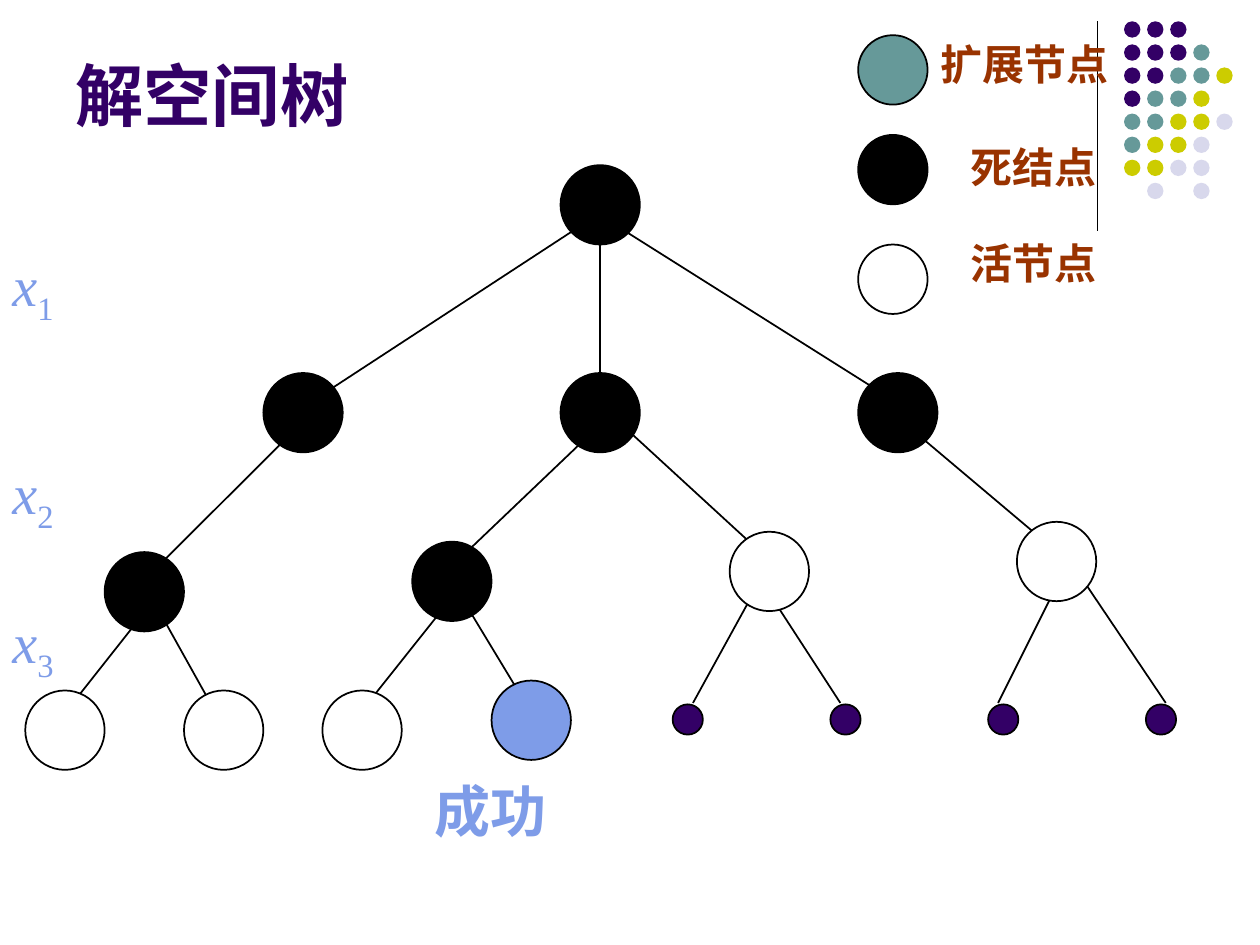
import pptx
import pptx.util
import pptx.dml.color
import pptx.enum.shapes
import pptx.enum.text
import pptx.oxml.ns
import lxml.etree

Cm = pptx.util.Cm
Pt = pptx.util.Pt
RGB = pptx.dml.color.RGBColor.from_string
ALIGN = pptx.enum.text.PP_ALIGN
ANCHOR = pptx.enum.text.MSO_ANCHOR

COLORS = {
    "purple": "330066", "teal": "669999", "olive": "CCCC00", "lilac": "D8D8EC",
    "black": "000000", "white": "FFFFFF", "blue": "7E9CE8", "brown": "993300",
}

deck = pptx.Presentation()
deck.slide_width = Cm(25.4)
deck.slide_height = Cm(19.05)
slide = deck.slides.add_slide(deck.slide_layouts[6])


def add_circle(left, top, size, color, outlined=True):
    circle = slide.shapes.add_shape(
        pptx.enum.shapes.MSO_SHAPE.OVAL, Cm(left), Cm(top), Cm(size), Cm(size))
    circle.shadow.inherit = False
    circle.fill.solid()
    circle.fill.fore_color.rgb = RGB(COLORS[color])
    if outlined:
        circle.line.color.rgb = RGB(COLORS["black"])
        circle.line.width = Pt(1)
    else:
        circle.line.fill.background()


def add_text(box, runs, size, color, font="Times New Roman", bold=True,
             align=ALIGN.LEFT, anchor=ANCHOR.TOP, wrap=True):
    frame = slide.shapes.add_textbox(*[Cm(length) for length in box]).text_frame
    frame.word_wrap = wrap
    frame.vertical_anchor = anchor
    paragraph = frame.paragraphs[0]
    paragraph.alignment = align
    for text, italic, baseline in runs:
        run = paragraph.add_run()
        run.text = text
        run.font.size = Pt(size)
        run.font.name = font
        run.font.bold = bold
        run.font.italic = italic
        run.font.color.rgb = RGB(COLORS[color])
        if baseline:
            run.font._element.set("baseline", str(baseline))


dot_colors = {"p": "purple", "t": "teal", "o": "olive", "l": "lilac"}
dot_rows = ["ppp", "pppt", "pptto", "ptto", "ttool", "tool", "ooll", " l l"]
for row, letters in enumerate(dot_rows):
    for column, letter in enumerate(letters):
        if letter in dot_colors:
            add_circle(22.66 + 0.465 * column, 0.43 + 0.465 * row, 0.33,
                       dot_colors[letter], outlined=False)

add_text((1.27, 0.33, 20.96, 3.12), [("解空间树", False, 0)], 39, "purple",
         font="Arial", anchor=ANCHOR.MIDDLE)

divider = (22.12, 0.43, 22.12, 4.65, 0.75)
branches = [
    (11.86, 4.45, 6.35, 8.05, 1),
    (12.09, 4.52, 12.09, 8.13, 1.25),
    (12.27, 4.45, 17.98, 8.05, 1),
    (5.92, 8.69, 2.97, 11.63, 1),
    (11.91, 8.74, 9.09, 11.43, 1),
    (12.5, 8.53, 15.44, 11.23, 1),
    (18.42, 8.69, 21.16, 11, 1),
    (2.97, 12.27, 1.47, 14.17, 1),
    (3.18, 12.27, 4.24, 14.17, 1),
    (9.09, 12.07, 7.42, 14.17, 1),
    (9.32, 12.07, 10.59, 14.17, 1),
    (15.24, 11.86, 13.97, 14.17, 1),
    (15.44, 11.86, 16.94, 14.17, 1),
    (21.39, 11.63, 20.12, 14.17, 1),
    (21.79, 11.63, 23.5, 14.17, 1),
]
for *ends, width in [divider] + branches:
    line = slide.shapes.add_connector(
        pptx.enum.shapes.MSO_CONNECTOR.STRAIGHT, *[Cm(end) for end in ends])
    line.line.color.rgb = RGB(COLORS["black"])
    line.line.width = Pt(width)
    lxml.etree.SubElement(line._element.spPr, pptx.oxml.ns.qn("a:effectLst"))

tree_nodes = [
    (11.3, 3.33, "black"),
    (5.31, 7.52, "black"), (11.3, 7.52, "black"), (17.3, 7.52, "black"),
    (2.11, 11.13, "black"), (8.31, 10.92, "black"),
    (14.71, 10.72, "white"), (20.5, 10.52, "white"),
    (0.51, 13.92, "white"), (3.71, 13.92, "white"), (6.5, 13.92, "white"),
    (9.91, 13.72, "blue"),
]
for left, top, color in tree_nodes:
    add_circle(left, top, 1.6, color)

for leaf in range(4):
    add_circle(13.56 + 3.18 * leaf, 14.2, 0.61, "purple")

for subscript, top in [("1", 4.93), ("2", 9.12), ("3", 12.12)]:
    add_text((0, top, 1.5, 1.6), [("x", True, 0), (subscript, False, -25000)],
             32, "blue", bold=False)

add_text((8.51, 15.52, 4.6, 1.6), [("成功", False, 0)], 32, "blue")

legend = [
    ("扩展节点", "teal", 0.71, (18.69, 0.66, 3.91, 1.27)),
    ("死结点", "black", 2.72, (18.8, 2.72, 4.09, 1.27)),
    ("活节点", "white", 4.93, (19.3, 4.67, 3.07, 1.27)),
]
for label, color, top, box in legend:
    add_circle(17.3, top, 1.4, color)
    add_text(box, [(label, False, 0)], 24, "brown", align=ALIGN.CENTER, wrap=False)

deck.save("out.pptx")
